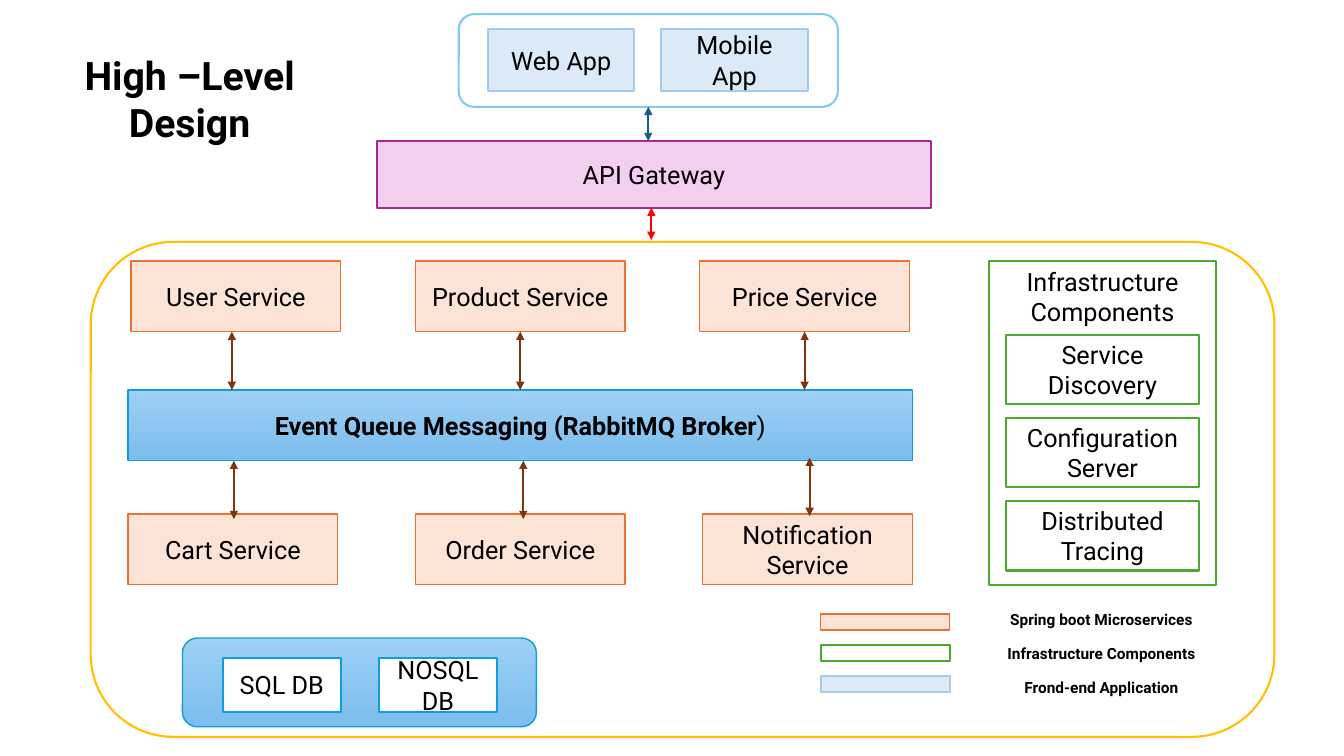
from lxml.etree import SubElement
from pptx import Presentation
from pptx.dml.color import RGBColor
from pptx.enum.shapes import MSO_CONNECTOR, MSO_SHAPE
from pptx.enum.text import MSO_ANCHOR, PP_ALIGN
from pptx.oxml.ns import qn
from pptx.util import Inches, Pt

SERVICE = ("FBE3D6", "E97132", 1)
INFRASTRUCTURE = ("FFFFFF", "4EA72E", 1.5)
FRONT_END = ("DCEAF7", "A6CAEC", 1.5)
GATEWAY = ("F2CFEE", "A02B93", 1.5)
DATABASE = ("FFFFFF", "0F9ED5", 1.5)
BLUE_GRADIENT = (("9ECFF5", "7CBEED"), "0F9ED5", 1)
TOP, BOTTOM = 0, 2


def color(value):
    return RGBColor.from_string(value)


def write(frame, text, size, bold=False):
    frame.word_wrap = True
    frame.text = text
    paragraph = frame.paragraphs[0]
    paragraph.alignment = PP_ALIGN.CENTER
    for run in paragraph.runs:
        run.font.name = "Roboto"
        run.font.size = Pt(size)
        run.font.bold = bold
        run.font.color.rgb = color("000000")
    return paragraph


def add_label(slide, box, text, size):
    label = slide.shapes.add_textbox(*map(Inches, box))
    write(label.text_frame, text, size, bold=True)


def add_block(slide, box, style, text="", kind=MSO_SHAPE.RECTANGLE,
              anchor=MSO_ANCHOR.MIDDLE):
    fill, line, weight = style
    block = slide.shapes.add_shape(kind, *map(Inches, box))
    block.shadow.inherit = False
    if isinstance(fill, tuple):
        block.fill.gradient()
        block.fill.gradient_angle = 270
        for stop, shade in zip(block.fill.gradient_stops, fill):
            stop.color.rgb = color(shade)
    else:
        block.fill.solid()
        block.fill.fore_color.rgb = color(fill)
    block.line.color.rgb = color(line)
    block.line.width = Pt(weight)
    if text:
        write(block.text_frame, text, 18)
        block.text_frame.vertical_anchor = anchor
    return block


def add_arrow(slide, x, top, bottom, shade, upper=None, lower=None):
    arrow = slide.shapes.add_connector(
        MSO_CONNECTOR.STRAIGHT, *map(Inches, (x, top, x, bottom)))
    arrow.line.color.rgb = color(shade)
    arrow.line.width = Pt(1.5)
    line = arrow.line._get_or_add_ln()
    for end in ("a:headEnd", "a:tailEnd"):
        SubElement(line, qn(end), type="triangle")
    SubElement(arrow._element.spPr, qn("a:effectLst"))
    if upper is not None:
        arrow.begin_connect(upper, BOTTOM)
    if lower is not None:
        arrow.end_connect(lower, TOP)


def add_clients(slide, box):
    left, top, width, height = box
    clients = add_block(slide, box, ("FFFFFF", "83CBEB", 1.5),
                        kind=MSO_SHAPE.ROUNDED_RECTANGLE)
    for i, app in enumerate(("Web App", "Mobile App")):
        add_block(slide, (left + 0.29 + i * 1.72, top + 0.15, 1.45, 0.61),
                  FRONT_END, app)
    add_arrow(slide, left + width / 2, top + height, top + 1.26, "156082",
              upper=clients)


def add_gateway(slide, box):
    left, top, width, height = box
    add_block(slide, box, GATEWAY, "API Gateway")
    add_arrow(slide, left + 2.72, top + height, top + height + 0.32, "FF0000")


def add_services(slide, box):
    left, top, width, height = box
    center = left + width / 2
    card_width, card_height = 2.08, 0.7
    broker_top = top + 1.28
    broker = add_block(slide, (left, broker_top, width, card_height), BLUE_GRADIENT,
                       "Event Queue Messaging (RabbitMQ Broker")
    title = broker.text_frame.paragraphs[0]
    title.runs[0].font.bold = True
    closing = title.add_run()
    closing.text = ")"
    closing.font.name = "Roboto"
    closing.font.size = Pt(18)
    closing.font.color.rgb = color("000000")

    rows = (
        (top, 2.82, top + card_height, (
            ("User Service", -0.04, 0),
            ("Product Service", 0, 0),
            ("Price Service", 0, 0))),
        (top + height - card_height, 2.85, broker_top + card_height, (
            ("Cart Service", 0.01, 0),
            ("Order Service", 0.03, 0),
            ("Notification Service", 0.02, -0.03))),
    )
    for row_top, step, arrow_top, services in rows:
        for i, (name, shift, lift) in enumerate(services):
            middle = center + (i - 1) * step
            card = add_block(
                slide, (middle - card_width / 2, row_top, card_width, card_height),
                SERVICE, name)
            joined = shift == 0
            add_arrow(slide, middle + shift, arrow_top + lift,
                      arrow_top + lift + 0.58, "80350E",
                      upper=card if joined else None,
                      lower=broker if joined and i == 1 else None)


def add_infrastructure(slide, box):
    left, top, width, height = box
    add_block(slide, box, INFRASTRUCTURE, "Infrastructure Components",
              anchor=MSO_ANCHOR.TOP)
    parts = ("Service Discovery", "Configuration Server", "Distributed Tracing")
    for i, part in enumerate(parts):
        add_block(slide, (left + 0.17, top + 0.73 + i * 0.825, width - 0.34, 0.69),
                  INFRASTRUCTURE, part)


def add_databases(slide, box):
    left, top, width, height = box
    add_block(slide, box, BLUE_GRADIENT, kind=MSO_SHAPE.ROUNDED_RECTANGLE)
    for i, database in enumerate(("SQL DB", "NOSQL DB")):
        add_block(slide, (left + 0.4 + i * 1.55, top + 0.2, 1.17, 0.53),
                  DATABASE, database)


def add_legend(slide, box):
    left, top, width, height = box
    entries = (
        ("Spring boot Microservices", SERVICE),
        ("Infrastructure Components", INFRASTRUCTURE),
        ("Frond-end Application", FRONT_END),
    )
    for i, (entry, style) in enumerate(entries):
        add_block(slide, (left, top + 0.09 + i * 0.31, 1.28, 0.16), style)
        add_label(slide, (left + 1.46, top + i * 0.34, width - 1.46, 0.29), entry, 11)


def main():
    deck = Presentation()
    deck.slide_width = Inches(13.33)
    deck.slide_height = Inches(7.5)
    slide = deck.slides.add_slide(deck.slide_layouts[6])
    add_block(slide, (0.9, 2.4, 11.74, 4.91), ("FFFFFF", "FFC000", 1.5),
              kind=MSO_SHAPE.ROUNDED_RECTANGLE)
    add_label(slide, (0.62, 0.46, 2.52, 1.04), "High –Level Design", 28)
    add_clients(slide, (4.55, 0.14, 3.76, 0.92))
    add_gateway(slide, (3.74, 1.4, 5.49, 0.66))
    add_services(slide, (1.27, 2.59, 7.78, 3.21))
    add_infrastructure(slide, (9.81, 2.59, 2.25, 3.21))
    add_databases(slide, (1.81, 6.33, 3.51, 0.88))
    add_legend(slide, (8.14, 6, 4.11, 0.97))
    deck.save("out.pptx")


if __name__ == "__main__":
    main()
